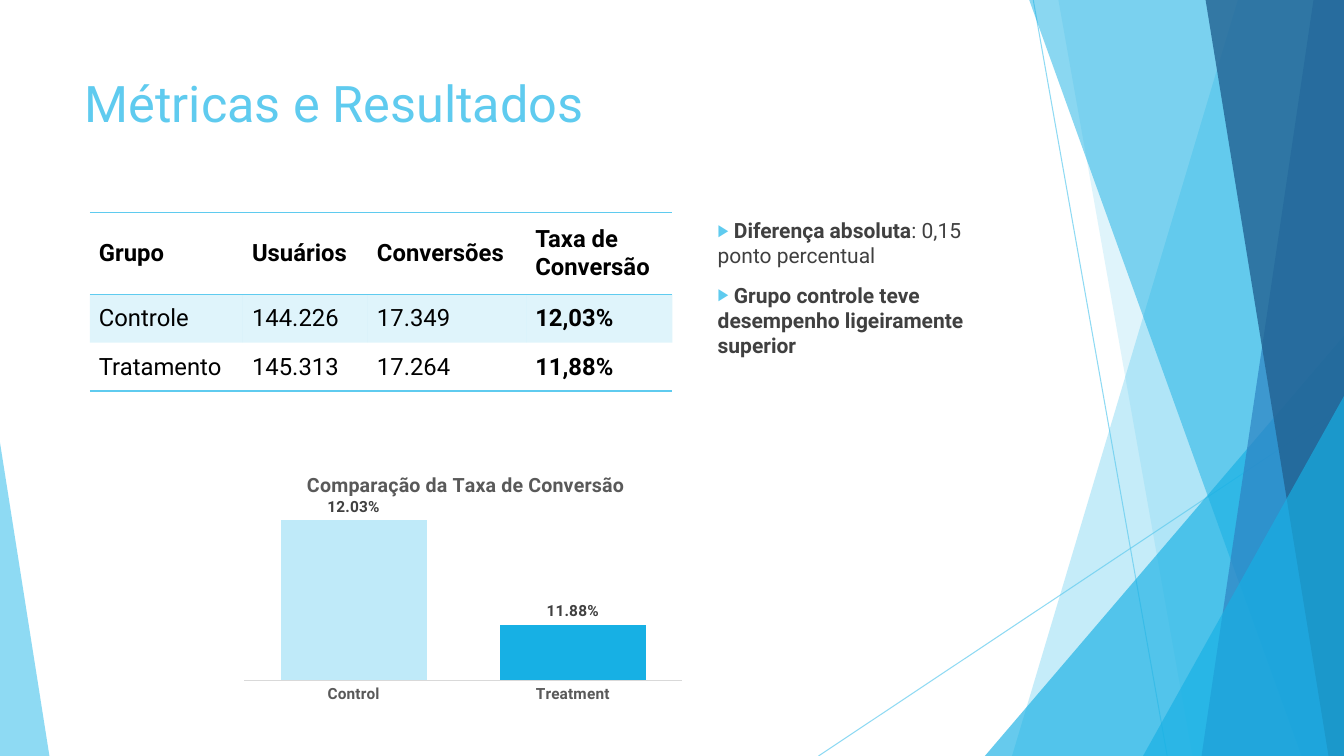
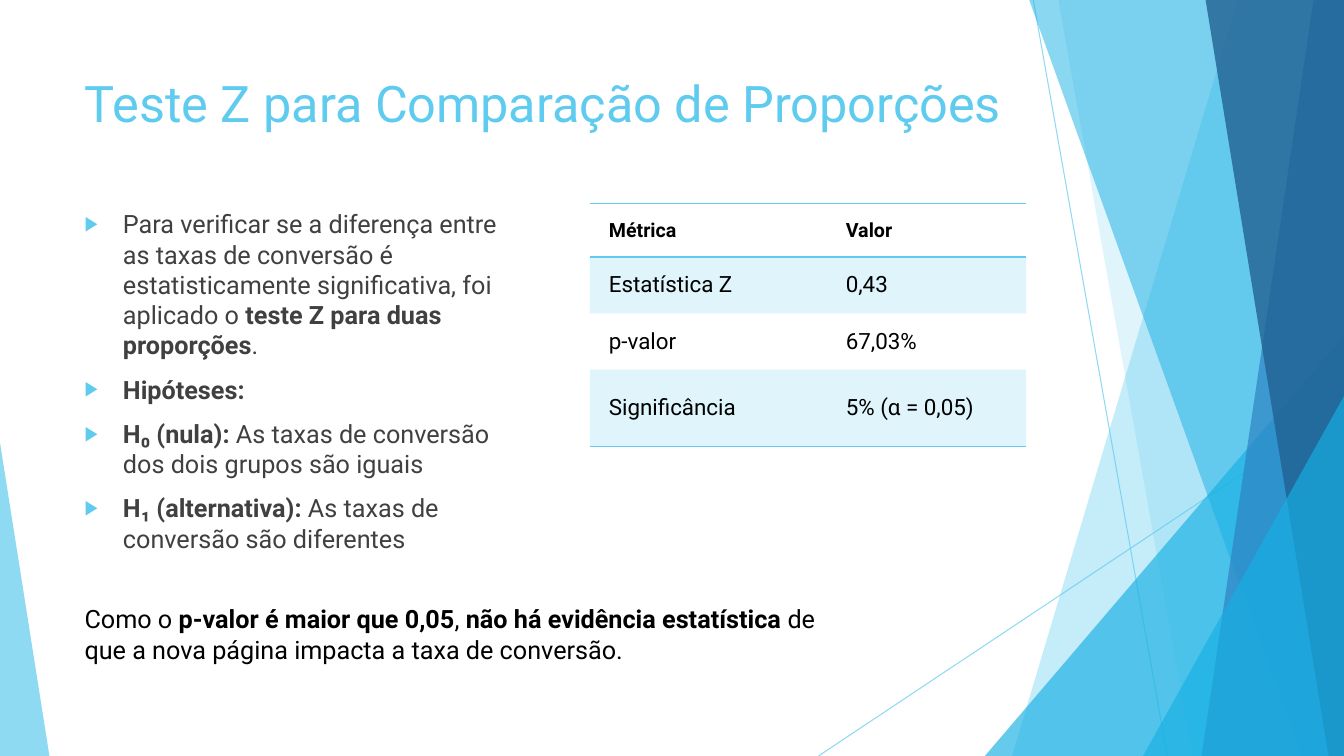
from lxml import etree
from pptx import Presentation
from pptx.chart.data import CategoryChartData
from pptx.dml.color import RGBColor
from pptx.enum.chart import XL_CHART_TYPE, XL_LABEL_POSITION, XL_TICK_MARK
from pptx.enum.shapes import MSO_CONNECTOR, MSO_SHAPE
from pptx.enum.text import MSO_ANCHOR, MSO_AUTO_SIZE, PP_ALIGN
from pptx.oxml.ns import qn
from pptx.util import Inches, Pt

COLUMN = XL_CHART_TYPE.COLUMN_CLUSTERED
OUTSIDE = XL_LABEL_POSITION.OUTSIDE_END
NO_TICK = XL_TICK_MARK.NONE
STRAIGHT = MSO_CONNECTOR.STRAIGHT
PEAK = MSO_SHAPE.ISOSCELES_TRIANGLE
TOP, MIDDLE = MSO_ANCHOR.TOP, MSO_ANCHOR.MIDDLE
NO_FIT = MSO_AUTO_SIZE.NONE
LEFT = PP_ALIGN.LEFT

FONT = "Roboto"
SKY, CYAN, PALE = "5FCBEF", "17B0E4", "BFEAF9"
BLUE, NAVY = "2E83C3", "226292"
BLACK, DARK, GREY, RULE = "000000", "404040", "595959", "D9D9D9"
PLAIN_GRID = "{2D5ABB26-0587-4C30-8999-92F81FD0307C}"

WIDE, HIGH = Inches(13.33), Inches(7.5)
EDGE = 5.55  # left margin, in percent of the width
FRAME = {"vertical_anchor": TOP, "word_wrap": True, "auto_size": NO_FIT}


# Helpers
def across(share):
    return int(WIDE * share / 100)


def down(share):
    return int(HIGH * share / 100)


def area(left, top, width, height):
    return across(left), down(top), across(width), down(height)


def tint(code):
    return RGBColor.from_string(code)


def apply(item, values):
    for key, value in values.items():
        setattr(item, key, value)


def style(font, size, color, bold=False):
    apply(font, {"name": FONT, "size": Pt(size), "bold": bold})
    font.color.rgb = tint(color)


def node(owner, tag, **values):
    item = etree.SubElement(owner, qn(tag))
    for key, value in values.items():
        item.set(key, str(value))
    return item


def fade(owner, share):
    for color in owner.iter(qn("a:srgbClr")):
        node(color, "a:alpha", val=share * 1000)


# Text: ** switches bold on and off
def write(para, text, size, color):
    para.alignment = LEFT
    for turn, piece in enumerate(text.split("**")):
        if piece:
            run = para.add_run()
            run.text = piece
            style(run.font, size, color, turn % 2 == 1)


def bullet(para, indent):
    para.space_before = Pt(10)
    props = para._p.get_or_add_pPr()
    props.set("marL", str(indent))
    props.set("indent", str(-indent))
    node(node(props, "a:buClr"), "a:srgbClr", val=SKY)
    node(props, "a:buSzPct", val=80000)
    node(props, "a:buFont", typeface="Arial")
    node(props, "a:buChar", char="▶")


def add_list(slide, box, items, size, indent):
    body = slide.placeholders[1]
    apply(body, dict(zip(("left", "top", "width", "height"), area(*box))))
    frame = body.text_frame
    apply(frame, FRAME)
    for spot, text in enumerate(items):
        para = frame.add_paragraph() if spot else frame.paragraphs[0]
        bullet(para, indent)
        write(para, text, size, DARK)


def add_note(slide, box, text):
    frame = slide.shapes.add_textbox(*area(*box)).text_frame
    apply(frame, FRAME)
    write(frame.paragraphs[0], text, 18, BLACK)


def add_page(deck, layout, title):
    slide = deck.slides.add_slide(layout)
    frame = slide.shapes.title.text_frame
    apply(frame, FRAME)
    write(frame.paragraphs[0], title, 36, SKY)
    return slide


# Backdrop of see-through facets
def paint(shape, color, share):
    shape.shadow.inherit = False
    shape.fill.solid()
    shape.fill.fore_color.rgb = tint(color)
    shape.line.fill.background()
    fade(shape._element.spPr, share)


def add_band(shapes, head, foot, color, share):
    pen = shapes.build_freeform(across(head), 0)
    pen.add_line_segments([(WIDE, 0), (WIDE, HIGH), (across(foot), HIGH)])
    paint(pen.convert_to_shape(), color, share)


def add_peak(shapes, left, top, width, lean, color, share):
    shape = shapes.add_shape(PEAK, *area(left, top, width, 100 - top))
    shape.adjustments[0] = lean
    paint(shape, color, share)


def add_ray(shapes, x1, y1, x2, y2):
    ray = shapes.add_connector(STRAIGHT, across(x1), down(y1),
                               across(x2), down(y2))
    ray.line.color.rgb = tint(SKY)
    ray.line.width = Pt(0.75)
    fade(ray._element.spPr, 70)
    node(ray._element.spPr, "a:effectLst")


def draw_facets(shapes):
    add_ray(shapes, 76.88, 0, 86.85, 100)
    add_ray(shapes, 100, 53.73, 60.9, 100)
    add_band(shapes, 92.1, 75.3, SKY, 36)
    add_band(shapes, 78.75, 88.73, SKY, 20)
    add_peak(shapes, 73.28, 44.4, 26.72, 1, CYAN, 66)
    add_band(shapes, 76.58, 96.83, CYAN, 50)
    add_band(shapes, 97.73, 89.4, BLUE, 70)
    add_band(shapes, 89.7, 98.85, NAVY, 80)
    add_peak(shapes, 85.05, 52.4, 14.95, 1, CYAN, 66)
    add_peak(shapes, 0, 58.53, 3.68, 0, SKY, 70)


def move_facets(slide, layout):
    """Hand the drawn facets to the layout, behind its placeholders."""
    tree = layout.shapes._spTree
    facets = [s for s in slide.shapes if not s.is_placeholder]
    for spot, facet in enumerate(facets):
        item = facet._element
        next(item.iter(qn("p:cNvPr"))).set("id", str(100 + spot))
        tree.insert(2 + spot, item)


# Tables
def edge(cell, sides):
    props = cell._tc.get_or_add_tcPr()
    for spot, side in enumerate(sides):
        line = etree.Element(qn("a:ln" + side), w=str(Pt(1)))
        node(node(line, "a:solidFill"), "a:srgbClr", val=SKY)
        props.insert(spot, line)


def add_grid(slide, left, top, cols, rows, data, sizes, pads):
    box = area(left, top, sum(cols), sum(rows))
    table = slide.shapes.add_table(len(rows), len(cols), *box).table
    apply(table, {"first_row": False, "horz_banding": False})
    next(table._tbl.iter(qn("a:tableStyleId"))).text = PLAIN_GRID
    for col, width in zip(table.columns, cols):
        col.width = across(width)
    for row, height in zip(table.rows, rows):
        row.height = down(height)
    names = ("margin_left", "margin_top", "margin_right", "margin_bottom")
    look = dict(zip(names, map(Inches, pads)), vertical_anchor=MIDDLE)
    for r, texts in enumerate(data):
        sides = "TB" if r == 0 else "B" if r == len(data) - 1 else ""
        for c, text in enumerate(texts):
            cell = table.cell(r, c)
            apply(cell, look)
            write(cell.text_frame.paragraphs[0], text, sizes[r > 0], BLACK)
            if r % 2:
                cell.fill.solid()
                cell.fill.fore_color.rgb = tint(SKY)
                fade(cell._tc.tcPr, 20)
            else:
                cell.fill.background()
            edge(cell, sides)


# Chart
def pin(owner, spot, **shares):
    """Fix a chart part at shares of the chart's size."""
    for old in owner.findall(qn("c:layout")):
        owner.remove(old)
    layout = etree.Element(qn("c:layout"))
    manual = node(layout, "c:manualLayout")
    if "w" in shares:
        node(manual, "c:layoutTarget", val="inner")
    for key in "xy":
        node(manual, f"c:{key}Mode", val="edge")
    for key, share in shares.items():
        node(manual, f"c:{key}", val=share)
    owner.insert(spot, layout)


def add_bars(slide, box, title, cats, values, colors):
    data = CategoryChartData(number_format="0.00%")
    data.categories = cats
    data.add_series("Series 1", values)
    chart = slide.shapes.add_chart(COLUMN, *area(*box), data).chart
    style(chart.font, 10, BLACK)
    apply(chart, {"has_legend": False, "has_title": True})
    para = chart.chart_title.text_frame.paragraphs[0]
    para.text = title
    style(para.runs[0].font, 14, GREY, True)
    pin(chart.chart_title._element, 1, x=0.15, y=0.06)
    pin(chart._chartSpace.chart.plotArea, 0, x=0.02, y=0.21, w=0.96, h=0.68)

    apply(chart.value_axis, {"visible": False, "has_major_gridlines": False,
                             "minimum_scale": 0.118,
                             "maximum_scale": 0.1205})
    axis = chart.category_axis
    apply(axis, {"major_tick_mark": NO_TICK, "has_major_gridlines": False})
    axis.format.line.color.rgb = tint(RULE)
    axis.format.line.width = Pt(0.75)
    style(axis.tick_labels.font, 11, GREY, True)

    plot = chart.plots[0]
    apply(plot, {"gap_width": 50, "overlap": -27, "has_data_labels": True,
                 "vary_by_categories": False})
    labels = plot.data_labels
    apply(labels, {"show_value": True, "position": OUTSIDE,
                   "number_format": "0.00%",
                   "number_format_is_linked": False})
    style(labels.font, 11, DARK, True)
    for spot, color in enumerate(colors):
        fill = plot.series[0].points[spot].format.fill
        fill.solid()
        fill.fore_color.rgb = tint(color)


# Slides
def show_results(slide):
    add_list(slide, (52.65, 28.13, 24, 23.6), [
        "** Diferença absoluta**: 0,15 ponto percentual",
        "** Grupo controle teve desempenho ligeiramente superior**",
    ], 15, 0)
    add_grid(slide, 6.68, 28.13, (11.4, 9.3, 11.78, 10.88), (10.8, 6.4, 6.4), [
        ("**Grupo**", "**Usuários**", "**Conversões**",
         "**Taxa de Conversão**"),
        ("Controle", "144.226", "17.349", "**12,03%**"),
        ("Tratamento", "145.313", "17.264", "**11,88%**"),
    ], (17, 17), (0.09, 0.05, 0.09, 0.05))
    add_bars(slide, (17.48, 59.87, 33.98, 33.87),
             "Comparação da Taxa de Conversão", ("Control", "Treatment"),
             (0.1203, 0.1188), (PALE, CYAN))


def show_test(slide):
    add_list(slide, (EDGE, 26.93, 32.48, 48.67), [
        "Para verificar se a diferença entre as taxas de conversão é "
        "estatisticamente significativa, foi aplicado o "
        "**teste Z para duas proporções**.",
        "**Hipóteses:**",
        "**H₀ (nula):** As taxas de conversão dos dois grupos são iguais",
        "**H₁ (alternativa):** As taxas de conversão são diferentes",
    ], 18, Inches(0.38))
    add_grid(slide, 43.88, 26.93, (17.63, 14.85), (6.53, 6.53, 6.53, 10.13), [
        ("**Métrica**", "**Valor**"),
        ("Estatística Z", "0,43"),
        ("p-valor", "67,03%"),
        ("Significância", "5% (α = 0,05)"),
    ], (14, 16), (0.19, 0.15, 0.24, 0.15))
    add_note(slide, (EDGE, 79.2, 56.25, 9.47),
             "Como o **p-valor é maior que 0,05**, **não há evidência "
             "estatística** de que a nova página impacta a taxa de conversão.")


def main():
    deck = Presentation()
    apply(deck, {"slide_width": WIDE, "slide_height": HIGH})
    layout = deck.slide_layouts[1]
    spot = area(EDGE, 8.93, 70.5, 19.2)
    apply(layout.placeholders[0],
          dict(zip(("left", "top", "width", "height"), spot)))

    first = add_page(deck, layout, "Métricas e Resultados")
    draw_facets(first.shapes)
    move_facets(first, layout)
    show_results(first)
    show_test(add_page(deck, layout, "Teste Z para Comparação de Proporções"))
    deck.save("out.pptx")


if __name__ == "__main__":
    main()
